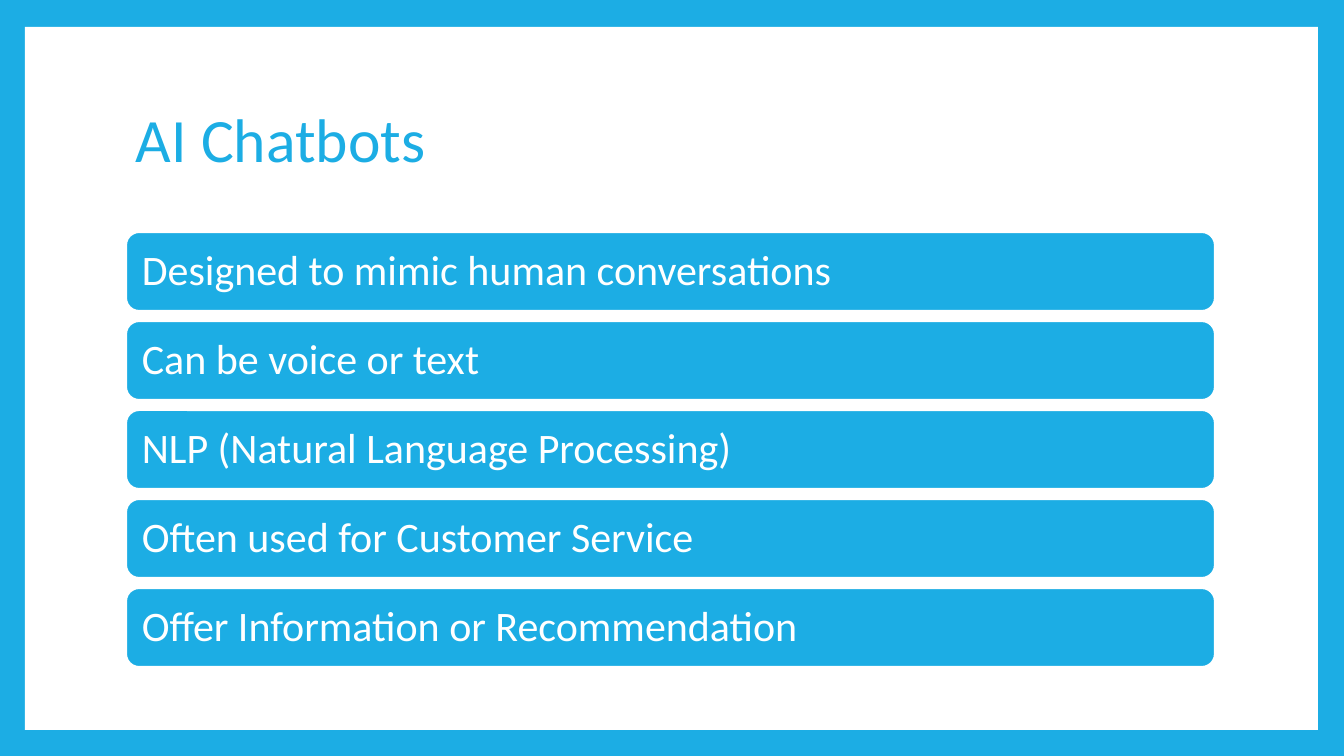
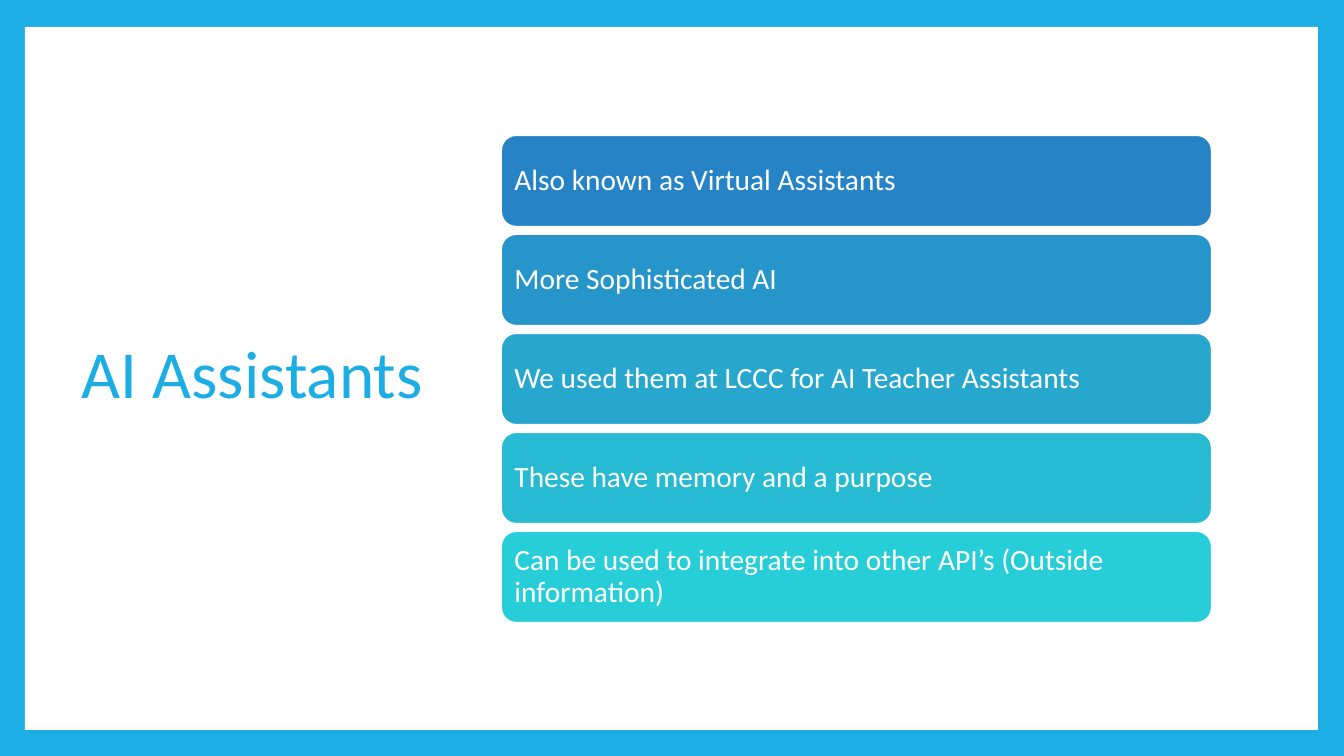
from pptx import Presentation
from pptx.dml.color import RGBColor
from pptx.enum.shapes import MSO_SHAPE
from pptx.enum.text import MSO_ANCHOR, MSO_AUTO_SIZE, PP_ALIGN
from pptx.util import Emu, Pt

SLIDE_W, SLIDE_H = 1344, 756
EMU_PER_PX = 12192000 / SLIDE_W


def px(n):
    """Turn whole pixels into EMU."""
    return Emu(round(n * EMU_PER_PX))


def rgb(value):
    """Turn a hex string into a colour."""
    return RGBColor.from_string(value)


def write(tf, text, size=20, color="FFFFFF", font="Calibri", margins=(10, 5)):
    """Put one left-aligned, vertically centred paragraph in a text frame."""
    tf.word_wrap = True
    tf.auto_size = MSO_AUTO_SIZE.NONE
    tf.vertical_anchor = MSO_ANCHOR.MIDDLE
    tf.margin_left = tf.margin_right = px(margins[0])
    tf.margin_top = tf.margin_bottom = px(margins[1])
    p = tf.paragraphs[0]
    p.alignment = PP_ALIGN.LEFT
    p.line_spacing = 0.9
    p.space_before = Pt(0)
    r = p.add_run()
    r.text = text
    r.font.name = font
    r.font.size = Pt(size)
    r.font.color.rgb = rgb(color)


class Deck:
    """Hold the style and the current slide."""

    ACCENT = "1CADE4"
    WHITE = "FFFFFF"
    PANEL = (25, 27, 1293, 703)

    def __init__(self):
        """Start a presentation with the accent background."""
        self.prs = Presentation()
        self.prs.slide_width, self.prs.slide_height = px(SLIDE_W), px(SLIDE_H)
        fill = self.prs.slide_master.background.fill
        fill.solid()
        fill.fore_color.rgb = rgb(self.ACCENT)

    def shape(self, kind, box, fill, line=None):
        """Add a filled preset shape, outlined if a line colour is given."""
        sp = self.s.shapes.add_shape(kind, *map(px, box))
        sp.shadow.inherit = False
        sp.fill.solid()
        sp.fill.fore_color.rgb = rgb(fill)
        if line:
            sp.line.color.rgb = rgb(line)
            sp.line.width = Pt(1.5)
        else:
            sp.line.fill.background()
        return sp

    def slide(self, title, box, size):
        """Add a slide with the white panel and its title."""
        self.s = self.prs.slides.add_slide(self.prs.slide_layouts[5])
        panel = self.shape(MSO_SHAPE.RECTANGLE, self.PANEL, self.WHITE)
        self.s.shapes._spTree.insert(2, panel._element)
        sp = self.s.shapes.title
        sp.left, sp.top, sp.width, sp.height = map(px, box)
        write(sp.text_frame, title, size=size, color=self.ACCENT)

    def bars(self, items, fills, box, pitch, size, inset):
        """Stack rounded bars of text at an equal pitch."""
        left, top, width, height = box
        for i, (text, fill) in enumerate(zip(items, fills)):
            sp = self.shape(MSO_SHAPE.ROUNDED_RECTANGLE,
                            (left, top + i * pitch, width, height),
                            fill, self.WHITE)
            write(sp.text_frame, text, size=size, color=self.WHITE,
                  margins=(inset, inset))


def main():
    """Build and save the two slides."""
    deck = Deck()

    deck.slide("AI Chatbots", (126, 68, 1089, 149), 44)
    chatbots = [
        "Designed to mimic human conversations",
        "Can be voice or text",
        "NLP (Natural Language Processing)",
        "Often used for Customer Service",
        "Offer Information or Recommendation",
    ]
    deck.bars(chatbots, [deck.ACCENT] * len(chatbots),
              (126, 232, 1089, 79), 89, 30, 12)

    deck.slide("AI Assistants", (72, 68, 371, 618), 48)
    assistants = [
        "Also known as Virtual Assistants",
        "More Sophisticated AI",
        "We used them at LCCC for AI Teacher Assistants",
        "These have memory and a purpose",
        "Can be used to integrate into other API’s (Outside information)",
    ]
    blues = ["2683C6", "2695CA", "27A7CE", "27BAD3", "27CED7"]
    deck.bars(assistants, blues, (501, 135, 711, 92), 99, 21, 9)

    deck.prs.save("out.pptx")


if __name__ == "__main__":
    main()
